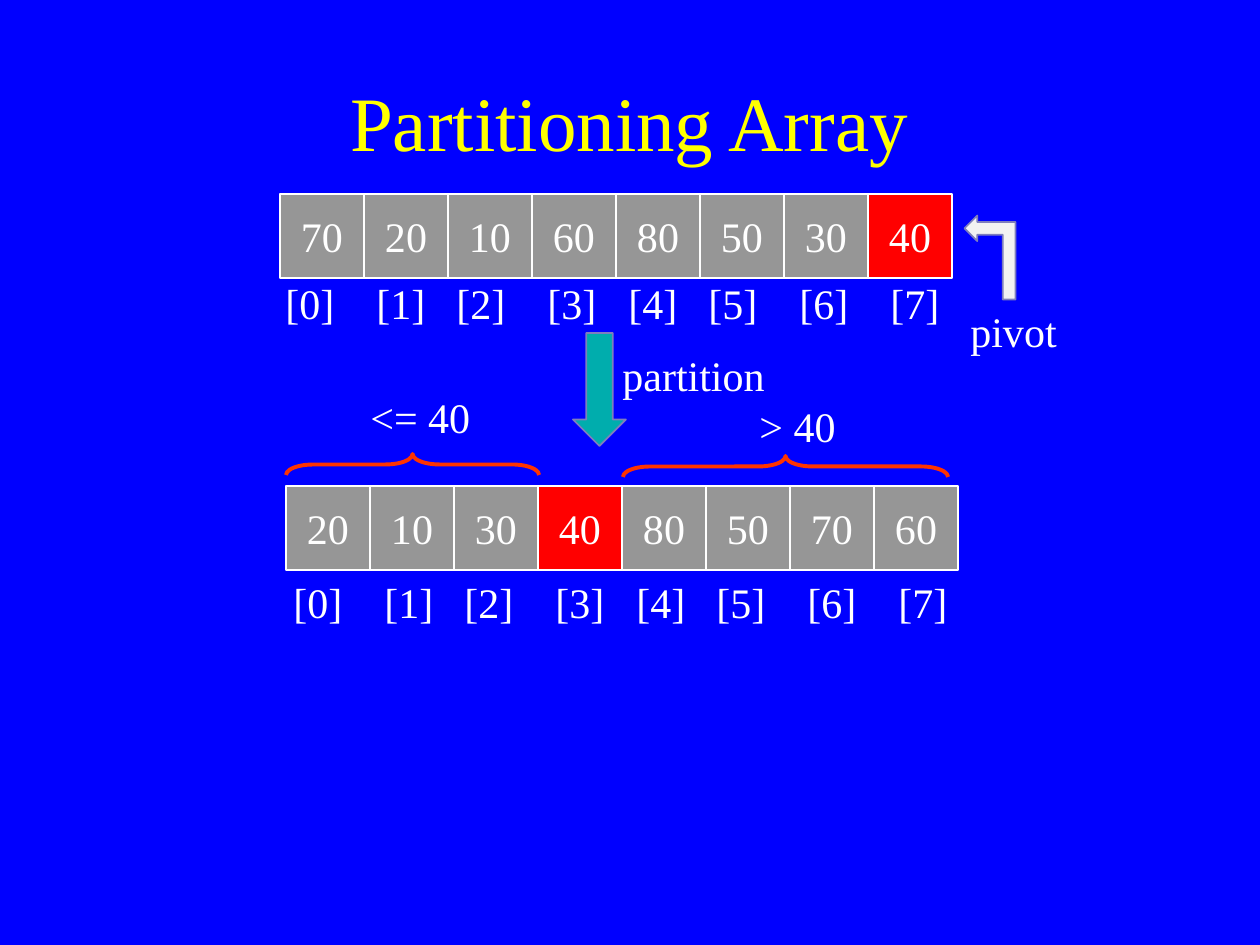
from dataclasses import dataclass
from itertools import accumulate

from lxml.etree import SubElement
from pptx import Presentation
from pptx.dml.color import RGBColor
from pptx.enum.shapes import MSO_SHAPE
from pptx.enum.text import MSO_ANCHOR, MSO_AUTO_SIZE, PP_ALIGN
from pptx.oxml.ns import qn
from pptx.util import Inches, Pt


@dataclass(frozen=True)
class Theme:
    """Hold the colours, font and type sizes."""
    back: str = "0000FF"
    title: str = "FFFF00"
    text: str = "FFFFFF"
    cell: str = "969696"
    pivot: str = "FF0000"
    brace: str = "FF3300"
    down: str = "00ADAD"
    bent: str = "F2F2F2"
    edge: str = "7E7EBD"
    font: str = "Times New Roman"
    head: int = 44
    body: int = 24


THEME = Theme()
SIDE = 84
STEPS = (91, 80, 91, 81, 80, 91, 91)


def px(count):
    """Turn pixels into EMU."""
    return Inches(count / 126)


def color(code):
    """Make a colour from its hex code."""
    return RGBColor.from_string(code)


def style(para, size, code, align=PP_ALIGN.LEFT):
    """Set the font and alignment of a paragraph."""
    para.alignment = align
    para.font.name = THEME.font
    para.font.size = Pt(size)
    para.font.color.rgb = color(code)


def add_title(slide, text, box):
    """Fill and place the title."""
    title = slide.shapes.title
    title.left, title.top, title.width, title.height = map(px, box)
    frame = title.text_frame
    frame.text = text
    frame.vertical_anchor = MSO_ANCHOR.MIDDLE
    style(frame.paragraphs[0], THEME.head, THEME.title, PP_ALIGN.CENTER)


def add_label(slide, text, left, top, width):
    """Add a line of text and return its paragraph."""
    box = slide.shapes.add_textbox(px(left), px(top), px(width), px(63))
    frame = box.text_frame
    frame.word_wrap = True
    frame.auto_size = MSO_AUTO_SIZE.SHAPE_TO_FIT_TEXT
    para = frame.paragraphs[0]
    para.text = text
    style(para, THEME.body, THEME.text)
    return para


def add_index(slide, left, top):
    """Add the row of index labels on tab stops."""
    text = "\t".join(f"[{i}]" for i in range(len(STEPS) + 1))
    para = add_label(slide, text, left, top, 722)
    props = para._p.get_or_add_pPr()
    tabs = SubElement(props, qn("a:tabLst"))
    props.insert(0, tabs)
    for stop in accumulate(STEPS):
        SubElement(tabs, qn("a:tab"), pos=str(px(stop)), algn="l")


def add_form(slide, kind, box, fill, line, weight, turn=0):
    """Add a preset shape with its fill and outline."""
    form = slide.shapes.add_shape(kind, *map(px, box))
    form.shadow.inherit = False
    form.rotation = turn
    if fill:
        form.fill.solid()
        form.fill.fore_color.rgb = color(fill)
    else:
        form.fill.background()
    form.line.color.rgb = color(line)
    form.line.width = Pt(weight)
    return form


def add_array(slide, values, left, top, pivot):
    """Add a row of cells with the pivot marked."""
    for i, value in enumerate(values):
        fill = THEME.pivot if i == pivot else THEME.cell
        box = (left + i * SIDE, top, SIDE, SIDE)
        cell = add_form(slide, MSO_SHAPE.RECTANGLE, box, fill, THEME.text, 0.75)
        frame = cell.text_frame
        frame.word_wrap = False
        frame.vertical_anchor = MSO_ANCHOR.MIDDLE
        frame.text = str(value)
        style(frame.paragraphs[0], THEME.body, THEME.text, PP_ALIGN.CENTER)


def add_brace(slide, left, top, span):
    """Add a brace lying over a span of cells."""
    deep = 21
    box = (left + (span - deep) / 2, top - (span - deep) / 2, deep, span)
    brace = add_form(slide, MSO_SHAPE.LEFT_BRACE, box, None, THEME.brace, 2.25, 90)
    brace.adjustments[0] = 1.29


def main():
    """Build the slide and save it."""
    deck = Presentation()
    deck.slide_width, deck.slide_height = px(1260), px(945)
    slide = deck.slides.add_slide(deck.slide_layouts[5])
    slide.background.fill.solid()
    slide.background.fill.fore_color.rgb = color(THEME.back)

    add_title(slide, "Partitioning Array", (94, 42, 1071, 158))
    add_array(slide, (70, 20, 10, 60, 80, 50, 30, 40), 280, 194, 7)
    add_index(slide, 273, 271)
    add_form(slide, MSO_SHAPE.BENT_UP_ARROW, (948, 232, 84, 51),
             THEME.bent, THEME.edge, 1, 270)
    add_label(slide, "pivot", 958, 299, 116)

    add_array(slide, (20, 10, 30, 40, 80, 50, 70, 60), 286, 486, 3)
    add_index(slide, 281, 570)
    add_brace(slide, 286, 454, 253)
    add_brace(slide, 623, 456, 325)
    add_label(slide, "<= 40", 358, 385, 137)
    add_label(slide, "> 40", 747, 394, 113)
    add_form(slide, MSO_SHAPE.DOWN_ARROW, (573, 333, 53, 113),
             THEME.down, THEME.edge, 1)
    add_label(slide, "partition", 610, 343, 184)
    deck.save("out.pptx")


main()
